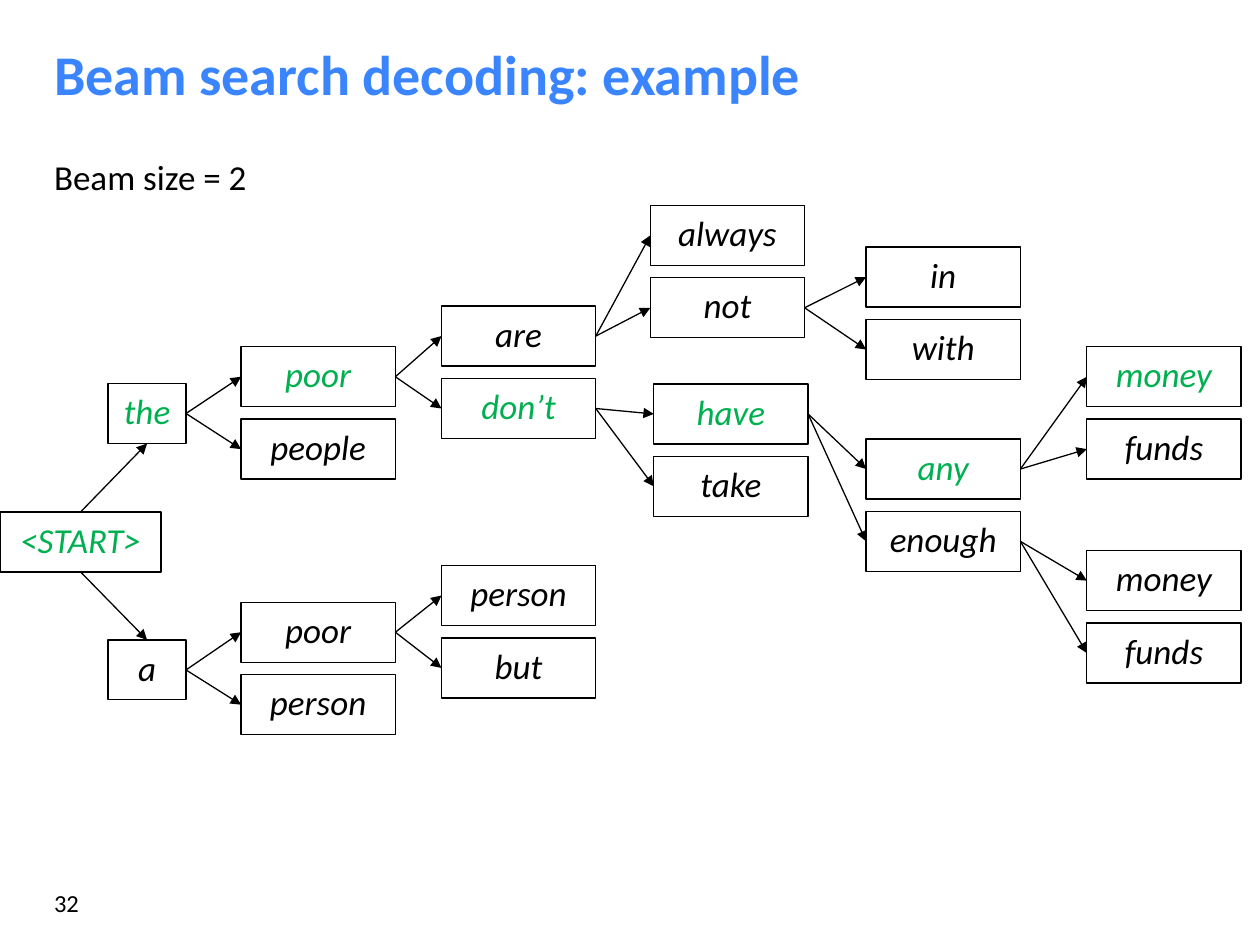
from lxml import etree
from pptx import Presentation
from pptx.dml.color import RGBColor
from pptx.enum.shapes import MSO_CONNECTOR, MSO_SHAPE
from pptx.enum.text import MSO_ANCHOR, PP_ALIGN
from pptx.oxml.ns import qn
from pptx.util import Cm, Pt

BLACK = RGBColor(0x00, 0x00, 0x00)
BLUE = RGBColor(0x3A, 0x85, 0xFE)
GREEN = RGBColor(0x00, 0xB0, 0x50)
RECTANGLE = MSO_SHAPE.RECTANGLE
STRAIGHT = MSO_CONNECTOR.STRAIGHT
TOP, BOTTOM = MSO_ANCHOR.TOP, MSO_ANCHOR.BOTTOM
LEFT, CENTER = PP_ALIGN.LEFT, PP_ALIGN.CENTER
TOP_SIDE, LEFT_SIDE, BOTTOM_SIDE, RIGHT_SIDE = range(4)

WORD_WIDTH, WORD_HEIGHT, PAIR_STEP = 3.11, 1.21, 1.46
ROOT_WIDTH = 1.57
BEST_PATH = {"<START>", "the", "the poor", "don’t", "have", "any", "any money"}
EXPANSIONS = [
    ("the", 4.86, 6.99, ("the poor", "people")),
    ("a", 4.86, 12.14, ("a poor", "a person")),
    ("the poor", 8.9, 6.17, ("are", "don’t")),
    ("a poor", 8.9, 11.4, ("person", "but")),
    ("are", 13.11, 4.14, ("always", "not")),
    ("don’t", 13.18, 7.74, ("have", "take")),
    ("not", 17.46, 4.98, ("in", "with")),
    ("have", 17.46, 8.85, ("any", "enough")),
    ("any", 21.91, 6.99, ("any money", "any funds")),
    ("enough", 21.91, 11.1, ("enough money", "enough funds")),
]


class SlideBuilder:
    """Draw styled text, word boxes and arrows on the current slide."""

    def __init__(self, page):
        self.page = page
        self.font = "Calibri"
        self.line_width = Pt(0.75)

    def fill_text(self, shape, text, size, color, align=LEFT, anchor=TOP, bold=False, italic=False):
        frame = shape.text_frame
        frame.word_wrap = True
        frame.vertical_anchor = anchor
        para = frame.paragraphs[0]
        para.alignment = align
        span = para.add_run()
        span.text = text
        span.font.name = self.font
        span.font.size = Pt(size)
        span.font.color.rgb = color
        span.font.bold = bold
        span.font.italic = italic

    def label(self, left, top, width, height, text, size, color=BLACK, **style):
        box = self.page.shapes.add_textbox(Cm(left), Cm(top), Cm(width), Cm(height))
        self.fill_text(box, text, size, color, **style)

    def word(self, name, left, top, width=WORD_WIDTH):
        box = self.page.shapes.add_shape(RECTANGLE, Cm(left), Cm(top), Cm(width), Cm(WORD_HEIGHT))
        box.shadow.inherit = False
        box.fill.background()
        box.line.color.rgb = BLACK
        box.line.width = self.line_width
        color = GREEN if name in BEST_PATH else BLACK
        self.fill_text(box, name.split()[-1], 20, color, align=CENTER, italic=True)
        return box

    def arrow(self, start, start_side, end, end_side):
        connector = self.page.shapes.add_connector(STRAIGHT, 0, 0, 0, 0)
        connector.begin_connect(start, start_side)
        connector.end_connect(end, end_side)
        connector.line.color.rgb = BLACK
        connector.line.width = self.line_width
        properties = connector.element.spPr
        etree.SubElement(properties.find(qn("a:ln")), qn("a:tailEnd"), type="triangle")
        etree.SubElement(properties, qn("a:effectLst"))


def main():
    deck = Presentation()
    deck.slide_width, deck.slide_height = Cm(25.4), Cm(19.05)
    builder = SlideBuilder(deck.slides.add_slide(deck.slide_layouts[6]))

    builder.label(0.84, 0.53, 23.7, 1.75, "Beam search decoding: example", 32, BLUE,
                  anchor=BOTTOM, bold=True)
    builder.label(0.84, 3.02, 4.62, 1.21, "Beam size = 2", 20)
    builder.label(0.84, 17.78, 5.51, 1.27, "32", 14)

    start = builder.word("<START>", 0, 10.32, 3.25)
    words = {
        "the": builder.word("the", 2.18, 7.73, ROOT_WIDTH),
        "a": builder.word("a", 2.18, 12.9, ROOT_WIDTH),
    }
    builder.arrow(start, TOP_SIDE, words["the"], BOTTOM_SIDE)
    builder.arrow(start, BOTTOM_SIDE, words["a"], TOP_SIDE)

    for parent, left, top, names in EXPANSIONS:
        for row, name in enumerate(names):
            words[name] = builder.word(name, left, top + row * PAIR_STEP)
            builder.arrow(words[parent], RIGHT_SIDE, words[name], LEFT_SIDE)

    deck.save("out.pptx")


if __name__ == "__main__":
    main()
